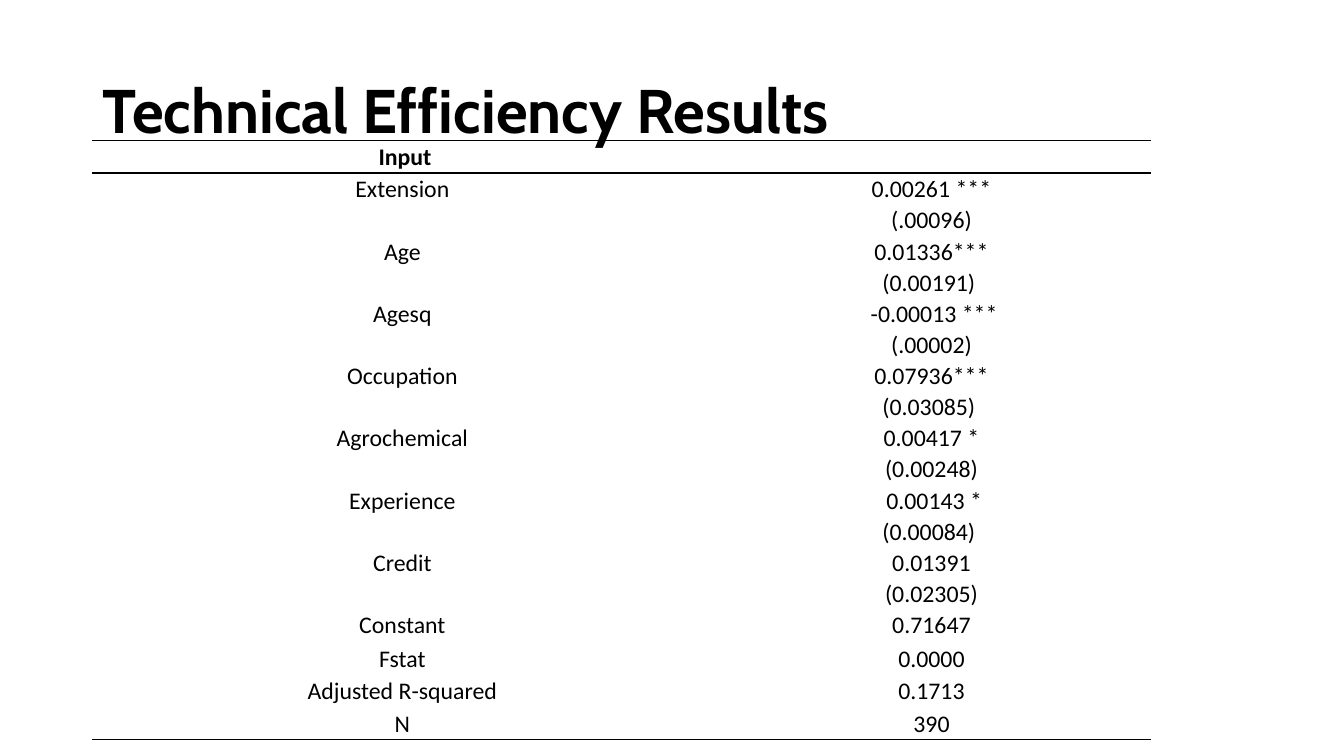
"""Build the technical efficiency results slide."""
from lxml.etree import SubElement
from pptx import Presentation
from pptx.dml.color import RGBColor
from pptx.enum.text import MSO_ANCHOR, PP_ALIGN
from pptx.oxml.ns import qn
from pptx.util import Cm, Pt

TITLE = "Technical Efficiency Results"
RESULTS = [
    ("\u00a0Input", []),
    ("Extension", ["0.00261 ***", "(.00096)"]),
    ("Age", [" 0.01336*** ", "(0.00191) "]),
    ("Agesq", [" -0.00013 ***", "(.00002)"]),
    ("Occupation", ["0.07936***", "(0.03085) "]),
    ("Agrochemical", ["0.00417 *", "(0.00248)"]),
    ("Experience", [" 0.00143 *", "(0.00084) "]),
    ("Credit", ["0.01391", "(0.02305)"]),
    ("Constant", ["0.71647"]),
    ("Fstat", ["0.0000"]),
    ("Adjusted R-squared", ["0.1713"]),
    ("N", ["390"]),
]
COLUMN_WIDTHS = (Cm(15.62), Cm(11.05))
SINGLE_ROW, DOUBLE_ROW = Cm(0.81), Cm(1.37)
ROW_HEIGHTS = {"Constant": Cm(0.86)}
LEFT = Cm(2.33)
BLACK = RGBColor(0, 0, 0)


def format_paragraph(p, font, size, bold, align, spacing):
    p.alignment = align
    p.line_spacing = spacing
    p.font.name = font
    p.font.size = Pt(size)
    p.font.bold = bold
    p.font.color.rgb = BLACK


def set_borders(cell, ruled):
    tc_pr = cell._tc.get_or_add_tcPr()
    for side in ("L", "R", "T", "B"):
        ln = SubElement(tc_pr, qn(f"a:ln{side}"), w=str(Pt(1)))
        if side in ruled:
            fill = SubElement(ln, qn("a:solidFill"))
            SubElement(fill, qn("a:srgbClr"), val=str(BLACK))
        else:
            SubElement(ln, qn("a:noFill"))


def fill_cell(cell, lines, bold, ruled):
    cell.margin_left = cell.margin_right = Cm(0.05)
    cell.margin_top = cell.margin_bottom = 0
    set_borders(cell, ruled)
    cell.fill.background()
    tf = cell.text_frame
    tf.text = "\n".join(lines)
    for p in tf.paragraphs:
        format_paragraph(p, "Calibri", 17, bold, PP_ALIGN.CENTER, 1.07)


def add_results(slide):
    heights = [ROW_HEIGHTS.get(name, DOUBLE_ROW if len(values) == 2 else SINGLE_ROW)
               for name, values in RESULTS]
    table = slide.shapes.add_table(len(RESULTS), 2, LEFT, Cm(3.55),
                                   sum(COLUMN_WIDTHS), sum(heights)).table
    table.first_row = table.horz_banding = False
    for column, width in zip(table.columns, COLUMN_WIDTHS):
        column.width = width
    rules = {0: "TB", 1: "T", len(RESULTS) - 1: "B"}
    for i, (name, values) in enumerate(RESULTS):
        table.rows[i].height = heights[i]
        for j, lines in enumerate(([name], values)):
            fill_cell(table.cell(i, j), lines, i == 0, rules.get(i, ""))


def main():
    prs = Presentation()
    prs.slide_width, prs.slide_height = Cm(33.87), Cm(19.05)
    slide = prs.slides.add_slide(prs.slide_layouts[5])
    title = slide.shapes.title
    title.left, title.top, title.width, title.height = LEFT, Cm(1.01), Cm(29.21), Cm(3.68)
    tf = title.text_frame
    tf.text = TITLE
    tf.vertical_anchor = MSO_ANCHOR.MIDDLE
    format_paragraph(tf.paragraphs[0], "Cabin", 44, True, PP_ALIGN.LEFT, 0.9)
    add_results(slide)
    prs.save("out.pptx")


if __name__ == "__main__":
    main()
